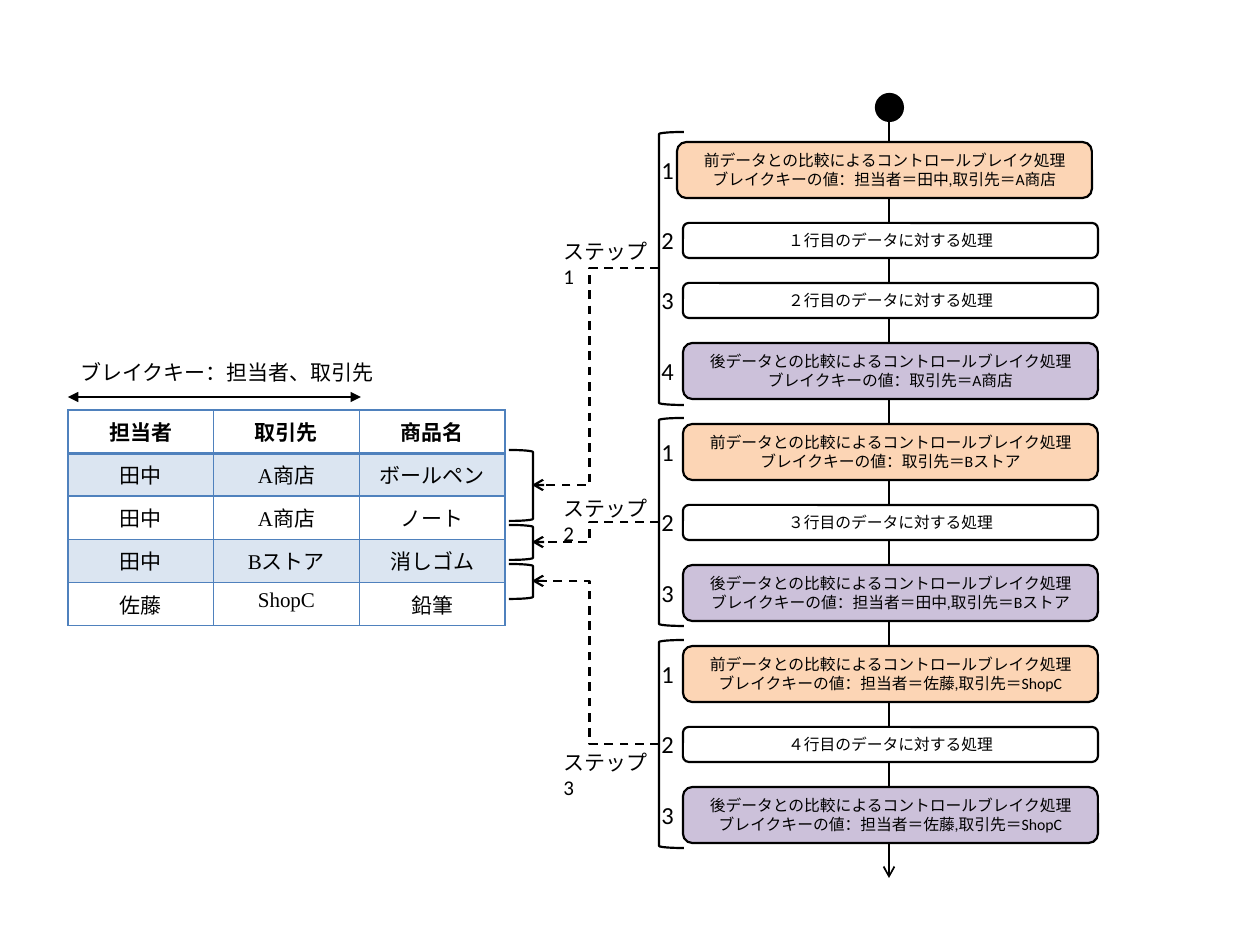
from dataclasses import dataclass
from typing import NamedTuple

from lxml.etree import SubElement
from pptx import Presentation
from pptx.dml.color import RGBColor as Color
from pptx.enum.dml import MSO_LINE_DASH_STYLE as Dash
from pptx.enum.shapes import MSO_CONNECTOR as Link, MSO_SHAPE as Preset
from pptx.enum.text import MSO_ANCHOR as Anchor, MSO_AUTO_SIZE as AutoSize, PP_ALIGN as Align
from pptx.oxml.ns import qn
from pptx.util import Emu, Pt

EMU_PER_PIXEL = 914400 / 126


@dataclass(frozen=True)
class Theme:
    """Colours, fonts and type sizes of the slide."""
    ink: str = "000000"
    plain: str = "FFFFFF"
    before: str = "FCD5B5"
    after: str = "CCC1DA"
    grid: str = "4F81BD"
    font: str = "Calibri"
    table_font: str = "Times New Roman"
    small: float = 9
    normal: float = 12
    number: float = 14
    outline: float = 1.25


class Rect(NamedTuple):
    """A place in pixels."""
    left: int
    top: int
    width: int
    height: int

    @property
    def middle(self) -> int:
        return self.top + self.height // 2


class Box(NamedTuple):
    """One processing box of the flow."""
    lines: tuple[str, ...]
    fill: str
    left: int = 683


class Step(NamedTuple):
    """A group of boxes with its brackets and label."""
    bracket: Rect
    rows: Rect
    label: Rect
    boxes: tuple[Box, ...]


THEME = Theme()
TALL, SHORT, GAP = 56, 35, 25
BOX_WIDTH, NUMBER_WIDTH, NUMBER_HEIGHT = 415, 38, 43
AXIS = 889


def before(keys: str, left: int = 683) -> Box:
    """Describe a comparison with the previous record."""
    return Box(("前データとの比較によるコントロールブレイク処理", f"ブレイクキーの値：{keys}"), THEME.before, left)


def row(number: str) -> Box:
    """Describe the processing of one table row."""
    return Box((f"{number}行目のデータに対する処理",), THEME.plain)


def after(keys: str) -> Box:
    """Describe a comparison with the next record."""
    return Box(("後データとの比較によるコントロールブレイク処理", f"ブレイクキーの値：{keys}"), THEME.after)


STEPS = (
    Step(Rect(659, 132, 25, 273), Rect(509, 450, 24, 71), Rect(551, 232, 117, 38),
         (before("担当者＝田中,取引先＝A商店", 677), row("１"), row("２"), after("取引先＝A商店"))),
    Step(Rect(659, 418, 25, 208), Rect(509, 525, 24, 35), Rect(551, 489, 117, 38),
         (before("取引先＝Bストア"), row("３"), after("担当者＝田中,取引先＝Bストア"))),
    Step(Rect(659, 640, 25, 208), Rect(509, 564, 24, 35), Rect(551, 743, 117, 38),
         (before("担当者＝佐藤,取引先＝ShopC"), row("４"), after("担当者＝佐藤,取引先＝ShopC"))),
)
RECORDS = (
    ("担当者", "取引先", "商品名"),
    ("田中", "A商店", "ボールペン"),
    ("田中", "A商店", "ノート"),
    ("田中", "Bストア", "消しゴム"),
    ("佐藤", "ShopC", "鉛筆"),
)


def px(value: float) -> Emu:
    """Turn pixels into EMU."""
    return Emu(round(value * EMU_PER_PIXEL))


def place(rect: Rect) -> list[Emu]:
    """Turn a pixel place into EMU."""
    return [px(value) for value in rect]


def write(frame, lines: tuple[str, ...], size: float, align=Align.LEFT,
          font: str = THEME.font, bold: bool = False) -> None:
    """Write one paragraph for each line."""
    for index, line in enumerate(lines):
        para = frame.add_paragraph() if index else frame.paragraphs[0]
        para.alignment = align
        span = para.add_run()
        span.text = line
        span.font.name, span.font.size, span.font.bold = font, Pt(size), bold
        span.font.color.rgb = Color.from_string(THEME.ink)


def add_label(page, rect: Rect, text: str, size: float) -> None:
    """Add a wrapping text box."""
    frame = page.shapes.add_textbox(*place(rect)).text_frame
    frame.word_wrap = True
    frame.auto_size = AutoSize.SHAPE_TO_FIT_TEXT
    write(frame, (text,), size)


def add_outline(page, preset, rect: Rect, fill: str = ""):
    """Add a black-edged shape, filled if a colour is given."""
    shape = page.shapes.add_shape(preset, *place(rect))
    shape.shadow.inherit = False
    if fill:
        shape.fill.solid()
        shape.fill.fore_color.rgb = Color.from_string(fill)
    else:
        shape.fill.background()
    shape.line.color.rgb = Color.from_string(THEME.ink)
    shape.line.width = Pt(THEME.outline)
    return shape


def add_arrow(page, start: tuple[int, int], end: tuple[int, int], kind=Link.STRAIGHT,
              width: float = THEME.outline, heads: tuple[str, str] = ("none", "arrow")) -> None:
    """Add an arrow; an elbow arrow is dashed."""
    arrow = page.shapes.add_connector(kind, *(px(value) for value in start + end))
    arrow.line.color.rgb = Color.from_string(THEME.ink)
    arrow.line.width = Pt(width)
    properties = arrow.line._get_or_add_ln().getparent()
    if kind == Link.ELBOW:
        arrow.line.dash_style = Dash.DASH
        guides = properties.find(qn("a:prstGeom")).get_or_add_avLst()
        SubElement(guides, qn("a:gd"), name="adj1", fmla="val 54600")
    for tag, head in zip(("a:headEnd", "a:tailEnd"), heads):
        SubElement(arrow.line._get_or_add_ln(), qn(tag), type=head)
    SubElement(properties, qn("a:effectLst"))


def add_solid(parent, color: str, alpha: int = 100) -> None:
    """Append a solid fill with an opacity in percent."""
    solid = SubElement(parent, qn("a:solidFill"))
    tint = SubElement(solid, qn("a:srgbClr"), val=color)
    if alpha < 100:
        SubElement(tint, qn("a:alpha"), val=str(alpha * 1000))


def add_records(page) -> None:
    """Add the table of records."""
    holder = page.shapes.add_table(len(RECORDS), 3, *place(Rect(68, 410, 437, 189)))
    table = holder.table
    table.first_row = table.horz_banding = False
    for line in table.rows:
        line.height = px(31.5)
    holder.height = px(189)
    for index, record in enumerate(RECORDS):
        for column, text in enumerate(record):
            cell = table.cell(index, column)
            write(cell.text_frame, (text,), THEME.normal, Align.CENTER, THEME.table_font, index == 0)
            properties = cell._tc.get_or_add_tcPr()
            thick = {0: "B", 1: "T"}.get(index)
            for side in "LRTB":
                width = Pt(2 if side == thick else 1)
                add_solid(SubElement(properties, qn(f"a:ln{side}"), w=str(width)), THEME.grid)
            if index % 2:
                add_solid(properties, THEME.grid, 20)
            else:
                SubElement(properties, qn("a:noFill"))


def add_step(page, number: int, step: Step, top: int) -> int:
    """Add one step and return the top of the next."""
    for index, box in enumerate(step.boxes, 1):
        rect = Rect(box.left, top, BOX_WIDTH, TALL if len(box.lines) > 1 else SHORT)
        frame = add_outline(page, Preset.ROUNDED_RECTANGLE, rect, box.fill).text_frame
        frame.word_wrap = True
        frame.vertical_anchor = Anchor.MIDDLE
        write(frame, box.lines, THEME.small, Align.CENTER)
        place_of_number = Rect(649, rect.middle - NUMBER_HEIGHT // 2, NUMBER_WIDTH, NUMBER_HEIGHT)
        add_label(page, place_of_number, str(index), THEME.number)
        top += rect.height + GAP
    add_outline(page, Preset.LEFT_BRACKET, step.bracket)
    add_outline(page, Preset.RIGHT_BRACKET, step.rows)
    add_arrow(page, (step.bracket.left, step.bracket.middle), (532, step.rows.middle), Link.ELBOW)
    add_label(page, step.label, f"ステップ{number}", THEME.normal)
    return top


deck = Presentation()
deck.slide_width, deck.slide_height = px(1260), px(945)
page = deck.slides.add_slide(deck.slide_layouts[6])
add_arrow(page, (AXIS, 121), (AXIS, 878), width=1)
add_records(page)
add_arrow(page, (68, 397), (361, 397), heads=("triangle", "triangle"))
add_label(page, Rect(68, 353, 345, 38), "ブレイクキー：担当者、取引先", THEME.normal)
add_outline(page, Preset.OVAL, Rect(876, 94, 27, 27), THEME.ink)
next_top = 142
for number, step in enumerate(STEPS, 1):
    next_top = add_step(page, number, step, next_top)
deck.save("out.pptx")
